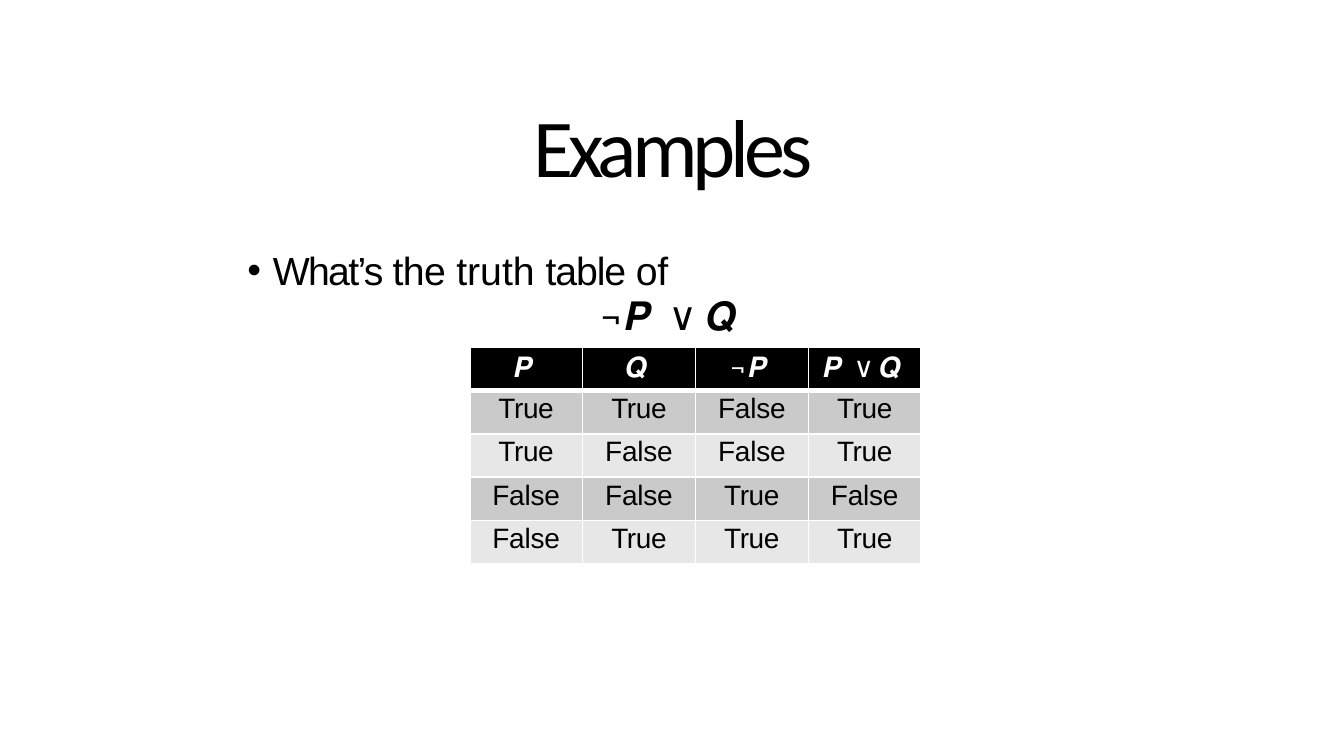
from pptx import Presentation
from pptx.dml.color import RGBColor
from pptx.enum.text import MSO_ANCHOR, PP_ALIGN
from pptx.oxml.ns import qn
from pptx.util import Inches, Pt
from lxml.etree import SubElement

COLORS = {"ink": "000000", "paper": "FFFFFF", "band": "CACACA", "light": "E7E7E7"}
W = 10
H = W * 9 / 16
UNIT = W / 100  # square grid, 100 columns across the slide
P, Q = "\U0001D477", "\U0001D478"


def rgb(name):
    return RGBColor.from_string(COLORS[name])


def grid(*cells):
    """Turn grid columns and rows into lengths."""
    return [Inches(n * UNIT) for n in cells]


def add_runs(p, parts, size, font, color="ink"):
    """Add (text, letter spacing in points) pairs to a paragraph."""
    for text, spacing in parts:
        r = p.add_run()
        r.text = text
        r.font.size, r.font.name = Pt(size), font
        r.font.color.rgb = rgb(color)
        r._r.get_or_add_rPr().set("spc", str(round(spacing * 100)))


def add_text_box(s, box):
    tf = s.shapes.add_textbox(*box).text_frame
    tf.word_wrap = True
    tf.margin_left = tf.margin_right = tf.margin_bottom = 0
    tf.margin_top = Inches(0.01)
    return tf


def add_title(s, box):
    tf = add_text_box(s, box)
    tf.vertical_anchor = MSO_ANCHOR.MIDDLE
    p = tf.paragraphs[0]
    p.alignment = PP_ALIGN.CENTER
    p.space_before = Pt(0.8)
    p._p.get_or_add_pPr().set("marL", str(Inches(0.01)))
    add_runs(p, [("Examples", -2.7)], 44, "Calibri")


def add_question(s, box):
    tf = add_text_box(s, box)
    # Bulleted question
    p = tf.paragraphs[0]
    p.line_spacing, p.space_before = Pt(24), Pt(0.7)
    pPr = p._p.get_or_add_pPr()
    pPr.set("marL", str(Inches(0.2)))
    pPr.set("indent", str(Inches(-0.19)))
    SubElement(pPr, qn("a:buFont"), typeface="Arial")
    SubElement(pPr, qn("a:buChar"), char="•")
    add_runs(p, [("What’s ", -0.9), ("the ", -0.3), ("truth ", 0),
                 ("table ", -0.6), ("of", -0.2)], 21, "Arial")
    # Formula
    p = tf.add_paragraph()
    p.alignment, p.line_spacing = PP_ALIGN.RIGHT, Pt(24)
    add_runs(p, [(f"¬{P} ", 2.2), ("∨ ", 0), (Q, -0.4)], 21, "Calibri")


def set_borders(cell, **widths):
    tcPr = cell._tc.get_or_add_tcPr()
    for i, side in enumerate(("L", "R", "T", "B")):
        ln = tcPr.makeelement(qn(f"a:ln{side}"), {"w": str(Pt(widths.get(side, 1)))})
        fill = SubElement(ln, qn("a:solidFill"))
        SubElement(fill, qn("a:srgbClr"), val=COLORS["paper"])
        tcPr.insert(i, ln)


def add_truth_table(s, box):
    header = [[(P, 0.9)], [(Q, -0.5)], [(f"¬{P}", 1.9)],
              [(f"{P} ", 1.4), ("∨ ", -0.7), (Q, -0.5)]]
    values = ["TTFT", "TFFT", "FFTF", "FTTT"]
    words = {"T": ("True", -0.2), "F": ("False", -0.1)}
    rows = [header] + [[[words[v]] for v in line] for line in values]

    table = s.shapes.add_table(len(rows), len(header), *box).table
    for col in table.columns:
        col.width = box[2] // len(header)
    for i, row in enumerate(rows):
        head = i == 0
        table.rows[i].height = box[3] // len(rows)
        for j, parts in enumerate(row):
            cell = table.cell(i, j)
            cell.margin_left = cell.margin_bottom = 0
            cell.margin_right = Inches(0.04 if head else 0)
            cell.margin_top = Inches(0.03 if head else 0.02)
            cell.fill.solid()
            cell.fill.fore_color.rgb = rgb("ink" if head else "band" if i % 2 else "light")
            set_borders(cell, T=3 if i == 1 else 1, B=3 if head else 1)
            p = cell.text_frame.paragraphs[0]
            p.alignment = PP_ALIGN.CENTER
            p.space_before = Pt(2.5 if head else 2.4)
            add_runs(p, parts, 15, "Calibri" if head else "Arial",
                     "paper" if head else "ink")


prs = Presentation()
prs.slide_width, prs.slide_height = Inches(W), Inches(H)
s = prs.slides.add_slide(prs.slide_layouts[6])
add_title(s, grid(16.3, 6.95, 67.5, 7.5))
add_question(s, grid(18.3, 18.4, 36.5, 6.9))
add_truth_table(s, grid(34.95, 25.8, 33.6, 16.2))
prs.save("out.pptx")
